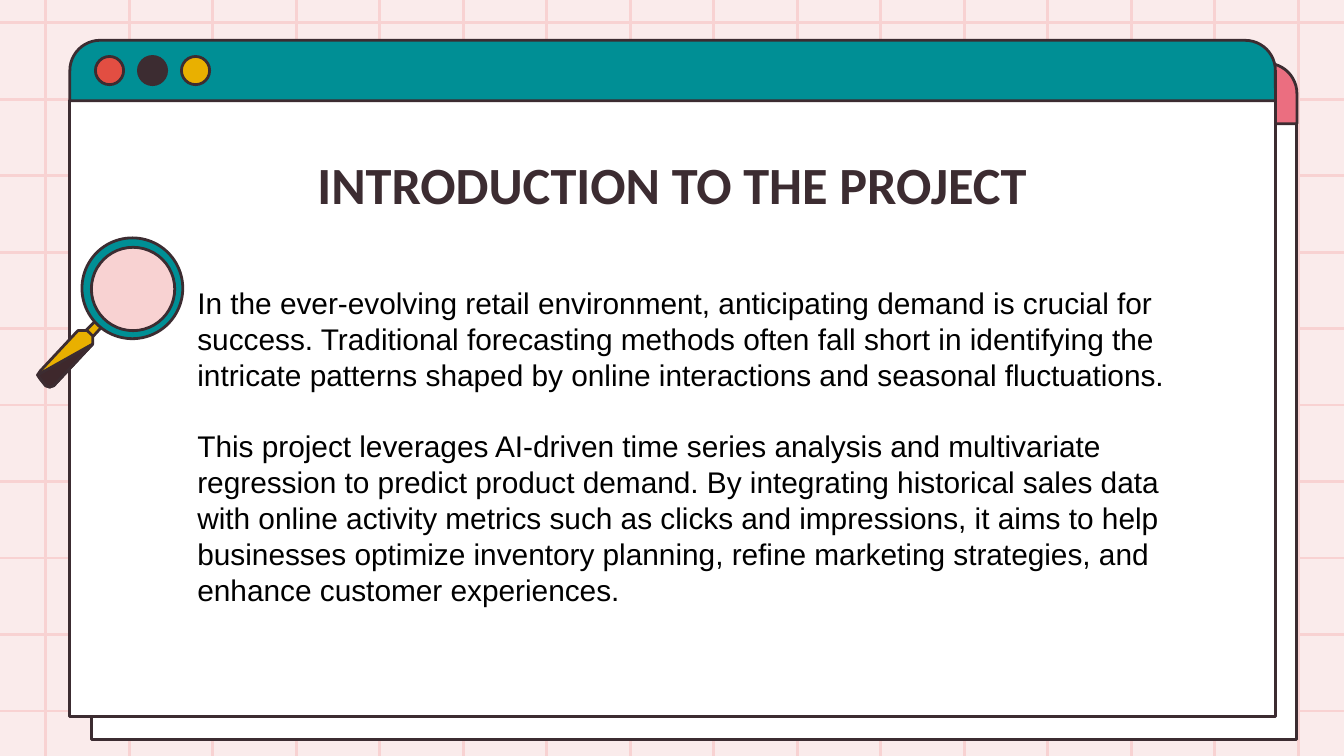
from dataclasses import dataclass
from lxml import etree
from pptx import Presentation
from pptx import util as u
from pptx.dml.color import RGBColor
from pptx.enum import shapes, text
from pptx.oxml.ns import qn

WIDTH = 10
HEIGHT = WIDTH * 9 / 16


@dataclass(frozen=True)
class Theme:
    paper: str = "FAEBEB"
    pink: str = "F8D2D2"
    rose: str = "EB6E80"
    teal: str = "008F95"
    red: str = "E24E42"
    yellow: str = "E9B000"
    ink: str = "3C2C31"
    grip: str = "3E282C"
    white: str = "FFFFFF"
    black: str = "000000"
    title_font: str = "Calibri"
    body_font: str = "Arial"
    title_size: float = 28
    body_size: float = 16
    paragraph_gap: float = 19.2
    stroke: float = 1.5


class Deck:
    def __init__(self, prs, theme):
        self.t = theme
        self.s = prs.slides.add_slide(prs.slide_layouts[5])
        fill = self.s.background.fill
        fill.solid()
        fill.fore_color.rgb = RGBColor.from_string(theme.paper)

    def paint(self, sp, color):
        sp.shadow.inherit = False
        sp.fill.solid()
        sp.fill.fore_color.rgb = RGBColor.from_string(color)
        sp.line.color.rgb = RGBColor.from_string(self.t.ink)
        sp.line.width = u.Pt(self.t.stroke)
        return sp

    def shape(self, kind, x, y, w, h, color):
        box = [u.Inches(v) for v in (x, y, w, h)]
        return self.paint(self.s.shapes.add_shape(kind, *box), color)

    def circle(self, x, y, size, color):
        return self.shape(shapes.MSO_SHAPE.OVAL, x, y, size, size, color)

    def outline(self, points, color):
        start, *rest = [(u.Inches(x), u.Inches(y)) for x, y in points]
        builder = self.s.shapes.build_freeform(*start)
        builder.add_line_segments(rest, close=True)
        return self.paint(builder.convert_to_shape(), color)

    def line(self, x1, y1, x2, y2):
        ends = [u.Inches(v) for v in (x1, y1, x2, y2)]
        c = self.s.shapes.add_connector(shapes.MSO_CONNECTOR.STRAIGHT, *ends)
        c.line.color.rgb = RGBColor.from_string(self.t.pink)
        c.line.width = u.Pt(self.t.stroke)
        etree.SubElement(c._element.spPr, qn("a:effectLst"))

    def window(self, x, y, color):
        self.shape(shapes.MSO_SHAPE.RECTANGLE, x, y + 0.45, 8.97, 4.58, self.t.white)
        bar = self.shape(shapes.MSO_SHAPE.ROUND_2_SAME_RECTANGLE, x, y, 8.97, 0.45, color)
        bar.adjustments[0] = 0.5

    def format(self, p, font, size, color, bold=False):
        for r in p.runs:
            r.font.name = font
            r.font.size = u.Pt(size)
            r.font.bold = bold
            r.font.color.rgb = RGBColor.from_string(color)

    def title(self, words, x, y, w, h):
        sp = self.s.shapes.title
        sp.left, sp.top, sp.width, sp.height = [u.Inches(v) for v in (x, y, w, h)]
        self.s.shapes._spTree.append(sp._element)
        tf = sp.text_frame
        tf.text = words
        tf.word_wrap = True
        tf.auto_size = text.MSO_AUTO_SIZE.NONE
        tf.vertical_anchor = text.MSO_ANCHOR.TOP
        tf.margin_left = tf.margin_right = u.Inches(0.1)
        tf.margin_top = tf.margin_bottom = u.Inches(0.1)
        p = tf.paragraphs[0]
        p.alignment = text.PP_ALIGN.CENTER
        self.format(p, self.t.title_font, self.t.title_size, self.t.ink, True)

    def body(self, paragraphs, x, y, w, h):
        box = [u.Inches(v) for v in (x, y, w, h)]
        tf = self.s.shapes.add_textbox(*box).text_frame
        tf.word_wrap = True
        for i, words in enumerate(paragraphs):
            p = tf.add_paragraph() if i else tf.paragraphs[0]
            p.text = words
            p.space_before = u.Pt(self.t.paragraph_gap if i else 0)
            self.format(p, self.t.body_font, self.t.body_size, self.t.black)


def main():
    prs = Presentation()
    prs.slide_width, prs.slide_height = u.Inches(WIDTH), u.Inches(HEIGHT)
    t = Theme()
    d = Deck(prs, t)

    for i in range(16):
        x = 0.34 + i * 9.32 / 15
        d.line(x, 0, x, HEIGHT)
    for i in range(10):
        y = 0.17 + i * 5.12 / 9
        d.line(0, y, WIDTH, y)

    d.window(0.68, 0.47, t.rose)
    d.window(0.52, 0.3, t.teal)
    for i, color in enumerate((t.red, t.ink, t.yellow)):
        d.circle(0.71 + i * 0.32, 0.42, 0.21, color)

    d.title("INTRODUCTION TO THE PROJECT", 0.98, 1.03, 8.04, 0.63)

    grip_end = [(0.28, 2.79), (0.3, 2.82), (0.34, 2.87), (0.37, 2.88), (0.4, 2.87), (0.69, 2.56)]
    d.outline([(0.66, 2.54), (0.61, 2.49), (0.72, 2.38), (0.77, 2.42)], t.yellow)
    d.outline(grip_end + [(0.69, 2.5), (0.65, 2.46), (0.58, 2.46), (0.3, 2.76)], t.yellow)
    d.outline(grip_end, t.grip)
    d.circle(0.61, 1.77, 0.75, t.teal)
    d.circle(0.68, 1.84, 0.62, t.pink)

    d.body([
        "In the ever-evolving retail environment, anticipating demand is crucial for success. "
        "Traditional forecasting methods often fall short in identifying the intricate patterns "
        "shaped by online interactions and seasonal fluctuations.",
        "This project leverages AI-driven time series analysis and multivariate regression to "
        "predict product demand. By integrating historical sales data with online activity "
        "metrics such as clicks and impressions, it aims to help businesses optimize inventory "
        "planning, refine marketing strategies, and enhance customer experiences.",
    ], 1.37, 2.07, 7.65, 2.52)

    prs.save("out.pptx")


if __name__ == "__main__":
    main()
